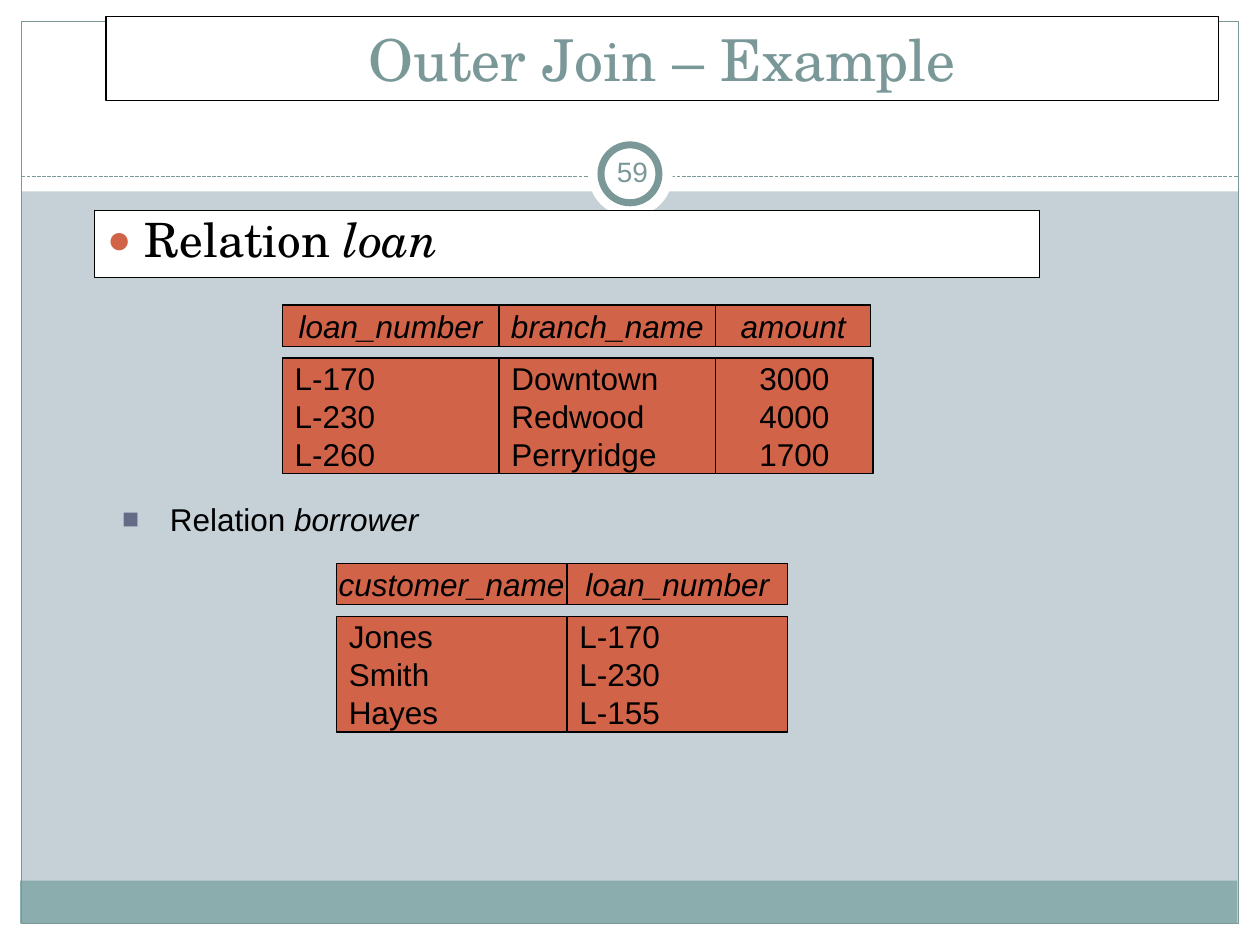
from dataclasses import dataclass

from lxml import etree
from pptx import Presentation
from pptx.dml.color import RGBColor
from pptx.enum.dml import MSO_LINE
from pptx.enum.shapes import MSO_CONNECTOR, MSO_SHAPE as Shape
from pptx.enum.text import MSO_ANCHOR as Anchor, MSO_AUTO_SIZE, PP_ALIGN as Align
from pptx.oxml.ns import qn
from pptx.util import Inches, Pt


@dataclass(frozen=True)
class Theme:
    back: str = "C5D1D7"
    white: str = "FFFFFF"
    black: str = "000000"
    teal: str = "7B9899"
    band: str = "8CADAE"
    cell: str = "D16349"
    square: str = "646B86"
    serif: str = "TeX Gyre Schola"
    sans: str = "Arial"
    title: int = 33
    body: int = 27
    text: int = 18
    number: int = 16
    thin: float = 0.75
    ring: float = 4


def rgb(color):
    return RGBColor.from_string(color)


def assign(target, values):
    for name, value in values.items():
        setattr(target, name, value)


class SlideBuilder:
    def __init__(self, slide, theme):
        self.slide = slide
        self.theme = theme
        slide.background.fill.solid()
        slide.background.fill.fore_color.rgb = rgb(theme.back)

    def paint(self, sp, fill=None, line=None, width=None):
        if fill:
            sp.fill.solid()
            sp.fill.fore_color.rgb = rgb(fill)
        else:
            sp.fill.background()
        if line:
            sp.line.color.rgb = rgb(line)
            sp.line.width = Pt(width or self.theme.thin)
        else:
            sp.line.fill.background()

    def shape(self, kind, box, parent=None, **paint):
        shapes = (parent or self.slide).shapes
        sp = shapes.add_shape(kind, *map(Inches, box))
        sp.shadow.inherit = False
        self.paint(sp, **paint)
        return sp

    def rule(self, start, end):
        ends = map(Inches, (*start, *end))
        sp = self.slide.shapes.add_connector(MSO_CONNECTOR.STRAIGHT, *ends)
        sp.line.color.rgb = rgb(self.theme.teal)
        assign(sp.line, {"width": Pt(self.theme.thin),
                         "dash_style": MSO_LINE.SQUARE_DOT})
        etree.SubElement(sp._element.spPr, qn("a:effectLst"))

    def fill_text(self, sp, paragraphs, size, font=None, color=None,
                  align=Align.LEFT, **frame):
        tf = sp.text_frame
        assign(tf, {"auto_size": MSO_AUTO_SIZE.NONE, "word_wrap": True, **frame})
        for i, runs in enumerate(paragraphs):
            p = tf.add_paragraph() if i else tf.paragraphs[0]
            assign(p, {"alignment": align, "space_before": Pt(0)})
            for text, italic in runs:
                r = p.add_run()
                r.text = text
                assign(r.font, {"name": font or self.theme.sans,
                                "size": Pt(size), "italic": italic})
                r.font.color.rgb = rgb(color or self.theme.black)

    def bullet(self, sp, char, color, percent, indent):
        pPr = sp.text_frame.paragraphs[0]._p.get_or_add_pPr()
        pPr.set("marL", str(Inches(indent)))
        pPr.set("indent", str(-Inches(indent)))
        clr = etree.SubElement(pPr, qn("a:buClr"))
        etree.SubElement(clr, qn("a:srgbClr"), val=color)
        etree.SubElement(pPr, qn("a:buSzPct"), val=str(percent * 1000))
        etree.SubElement(pPr, qn("a:buFont"), typeface=self.theme.sans)
        etree.SubElement(pPr, qn("a:buChar"), char=char)

    def placeholder(self, sp, box):
        names = ("left", "top", "width", "height")
        assign(sp, dict(zip(names, map(Inches, box))))
        self.paint(sp, self.theme.white, self.theme.black)
        self.slide.shapes._spTree.append(sp._element)
        return sp

    def title(self, box, text):
        sp = self.placeholder(self.slide.shapes.title, box)
        self.fill_text(sp, [[(text, False)]], self.theme.title,
                       self.theme.serif, self.theme.teal, Align.CENTER,
                       vertical_anchor=Anchor.MIDDLE)

    def body(self, box, runs):
        sp = self.placeholder(self.slide.placeholders[1], box)
        self.bullet(sp, "●", self.theme.cell, 85, 0.3)
        self.fill_text(sp, [runs], self.theme.body, self.theme.serif)
        sp.text_frame.paragraphs[0].line_spacing = 0.9

    def text_box(self, box):
        return self.slide.shapes.add_textbox(*map(Inches, box))

    def heading(self, box, runs):
        sp = self.text_box(box)
        self.bullet(sp, "■", self.theme.square, 90, 0.38)
        self.fill_text(sp, [runs], self.theme.text)

    def number(self, box, text):
        sp = self.text_box(box)
        self.fill_text(sp, [[(text, False)]], self.theme.number,
                       color=self.theme.teal, align=Align.CENTER,
                       vertical_anchor=Anchor.MIDDLE,
                       margin_left=Inches(0.05), margin_right=Inches(0.05))

    def cell(self, group, box, lines, align, italic=False):
        sp = self.shape(Shape.RECTANGLE, box, group,
                        fill=self.theme.cell, line=self.theme.black)
        self.fill_text(sp, [[(line, italic)] for line in lines],
                       self.theme.text, align=align, word_wrap=False,
                       vertical_anchor=Anchor.MIDDLE)

    def relation(self, left, top, columns):
        group = self.slide.shapes.add_group_shape()
        for name, head_width, width, values, align in columns:
            self.cell(group, (left, top, head_width, 0.33), [name],
                      Align.CENTER, italic=True)
            self.cell(group, (left, top + 0.42, width, 0.92), values, align)
            left += width


def main():
    prs = Presentation()
    prs.slide_width, prs.slide_height = Inches(10), Inches(7.5)
    theme = Theme()
    s = SlideBuilder(prs.slides.add_slide(prs.slide_layouts[1]), theme)

    for box in ((0, 7.33, 10, 0.17), (0, 0, 10, 1.52),
                (0, 0, 0.17, 7.5), (9.83, 0, 0.17, 7.5)):
        s.shape(Shape.RECTANGLE, box, fill=theme.white)
    s.shape(Shape.RECTANGLE, (0.16, 6.99, 9.66, 0.34), fill=theme.band)
    s.shape(Shape.RECTANGLE, (0.17, 0.17, 9.66, 7.16), line=theme.teal)
    s.rule((0.17, 1.4), (9.83, 1.4))
    s.shape(Shape.OVAL, (4.67, 1.05, 0.67, 0.67), fill=theme.white)
    s.shape(Shape.OVAL, (4.77, 1.15, 0.46, 0.46), fill=theme.white,
            line=theme.teal, width=theme.ring)

    s.title((0.84, 0.13, 8.83, 0.67), "Outer Join – Example")
    s.body((0.75, 1.67, 7.5, 0.53), [("Relation ", False), ("loan", True)])
    s.heading((0.87, 3.92, 7.69, 0.53),
              [("Relation ", False), ("borrower", True)])
    s.relation(2.67, 4.47, [
        ("customer_name", 1.83, 1.83, ["Jones", "Smith", "Hayes"], Align.LEFT),
        ("loan_number", 1.75, 1.75, ["L-170", "L-230", "L-155"], Align.LEFT),
    ])
    s.relation(2.24, 2.42, [
        ("loan_number", 1.72, 1.72, ["L-170", "L-230", "L-260"], Align.LEFT),
        ("branch_name", 1.72, 1.72, ["Downtown", "Redwood", "Perryridge"],
         Align.LEFT),
        ("amount", 1.23, 1.25, ["3000", "4000", "1700"], Align.CENTER),
    ])
    s.number((4.77, 1.12, 0.5, 0.48), "59")
    prs.save("out.pptx")


if __name__ == "__main__":
    main()
